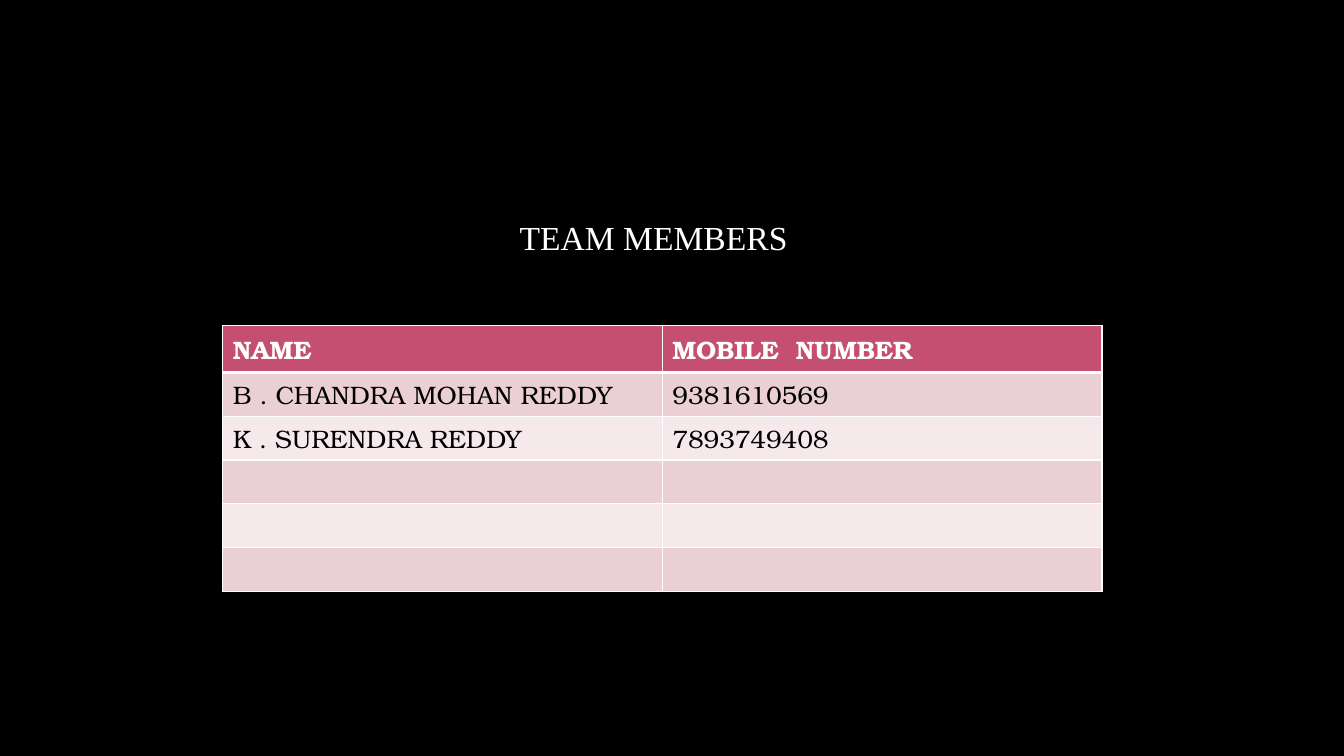
from dataclasses import dataclass

from lxml.etree import SubElement
from pptx import Presentation
from pptx.dml.color import RGBColor as Color
from pptx.enum.text import MSO_ANCHOR as Anchor, MSO_AUTO_SIZE as AutoSize, PP_ALIGN as Align
from pptx.oxml.ns import qn
from pptx.slide import Slide
from pptx.table import _Cell as Cell
from pptx.text.text import TextFrame
from pptx.util import Pt


@dataclass(frozen=True)
class Theme:
    background: str = "000000"
    light: str = "FFFFFF"
    dark: str = "000000"
    header_fill: str = "C54F71"
    bands: tuple[str, str] = ("EAD0D5", "F5E9EB")
    title_font: str = "Times New Roman"
    table_font: str = "TeX Gyre Bonum"
    title_size: float = 24
    table_size: float = 18
    thin_line: float = 1
    thick_line: float = 3


@dataclass(frozen=True)
class Member:
    name: str = ""
    mobile: str = ""


THEME = Theme()
HEADER = Member("NAME", "MOBILE  NUMBER")
MEMBERS = [
    Member("B . CHANDRA MOHAN REDDY", "9381610569"),
    Member("K . SURENDRA REDDY", "7893749408"),
    Member(),
    Member(),
    Member(),
]
COLUMN_WIDTH = 314
HEADER_HEIGHT = 33.5
ROW_HEIGHT = 31.2


def write(frame: TextFrame, text: str, *, font: str, size: float, color: str,
          bold: bool = False, align: Align = Align.LEFT) -> None:
    para = frame.paragraphs[0]
    para.alignment = align
    if text:
        para.text = text
    for target in (para, *para.runs):
        target.font.name = font
        target.font.size = Pt(size)
        target.font.bold = bold
        target.font.color.rgb = Color.from_string(color)


def add_border(cell: Cell, side: str, width: float) -> None:
    """Draw one side of a cell; sides must come in the order L, R, T, B."""
    properties = cell._tc.get_or_add_tcPr()
    line = SubElement(properties, qn(f"a:ln{side}"), w=str(Pt(width)))
    fill = SubElement(line, qn("a:solidFill"))
    SubElement(fill, qn("a:srgbClr"), val=THEME.light)


def format_cell(cell: Cell, text: str, row: int) -> None:
    is_header = row == 0
    for side in "LRTB":
        under_header = (is_header and side == "B") or (row == 1 and side == "T")
        add_border(cell, side, THEME.thick_line if under_header else THEME.thin_line)
    color = THEME.header_fill if is_header else THEME.bands[(row - 1) % 2]
    cell.fill.solid()
    cell.fill.fore_color.rgb = Color.from_string(color)
    write(cell.text_frame, text, font=THEME.table_font, size=THEME.table_size,
          color=THEME.light if is_header else THEME.dark, bold=is_header)


def add_title(page: Slide, text: str) -> None:
    title = page.shapes.title
    title.left, title.top, title.width, title.height = Pt(147.6), Pt(145.5), Pt(638.6), Pt(312.5)
    frame = title.text_frame
    frame.word_wrap = True
    frame.auto_size = AutoSize.NONE
    frame.vertical_anchor = Anchor.TOP
    write(frame, text, font=THEME.title_font, size=THEME.title_size,
          color=THEME.light, align=Align.CENTER)
    frame.paragraphs[0].line_spacing = 1.2


def add_member_table(page: Slide) -> None:
    members = [HEADER, *MEMBERS]
    height = HEADER_HEIGHT + ROW_HEIGHT * len(MEMBERS)
    table = page.shapes.add_table(len(members), 2, Pt(159.1), Pt(232.6),
                                  Pt(2 * COLUMN_WIDTH), Pt(height)).table
    for row, member in enumerate(members):
        table.rows[row].height = Pt(ROW_HEIGHT if row else HEADER_HEIGHT)
        for column, text in enumerate((member.name, member.mobile)):
            format_cell(table.cell(row, column), text, row)


def main() -> None:
    deck = Presentation()
    deck.slide_width, deck.slide_height = Pt(960), Pt(540)
    page = deck.slides.add_slide(deck.slide_layouts[5])
    page.background.fill.solid()
    page.background.fill.fore_color.rgb = Color.from_string(THEME.background)
    add_title(page, "TEAM MEMBERS")
    add_member_table(page)
    deck.save("out.pptx")


if __name__ == "__main__":
    main()
